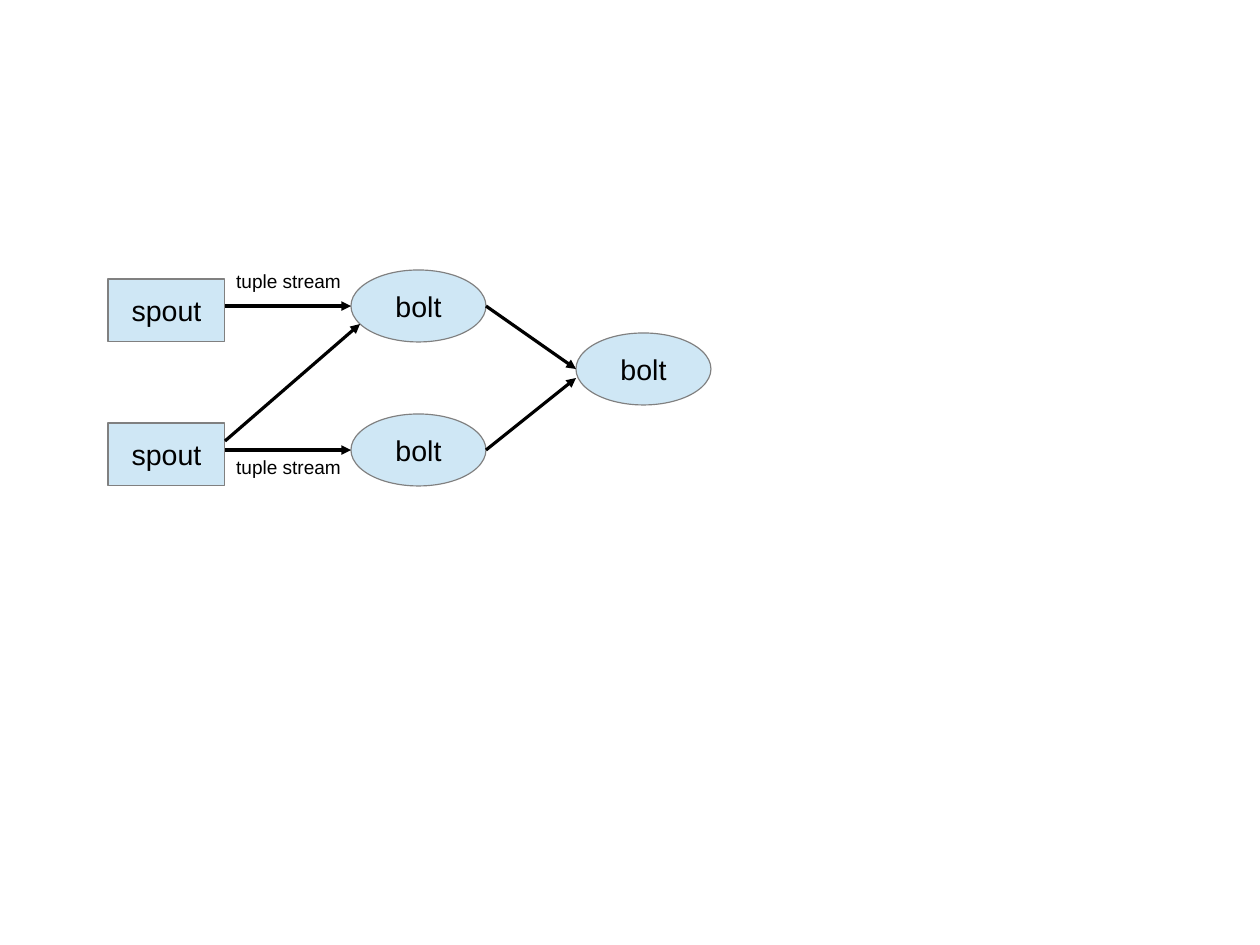
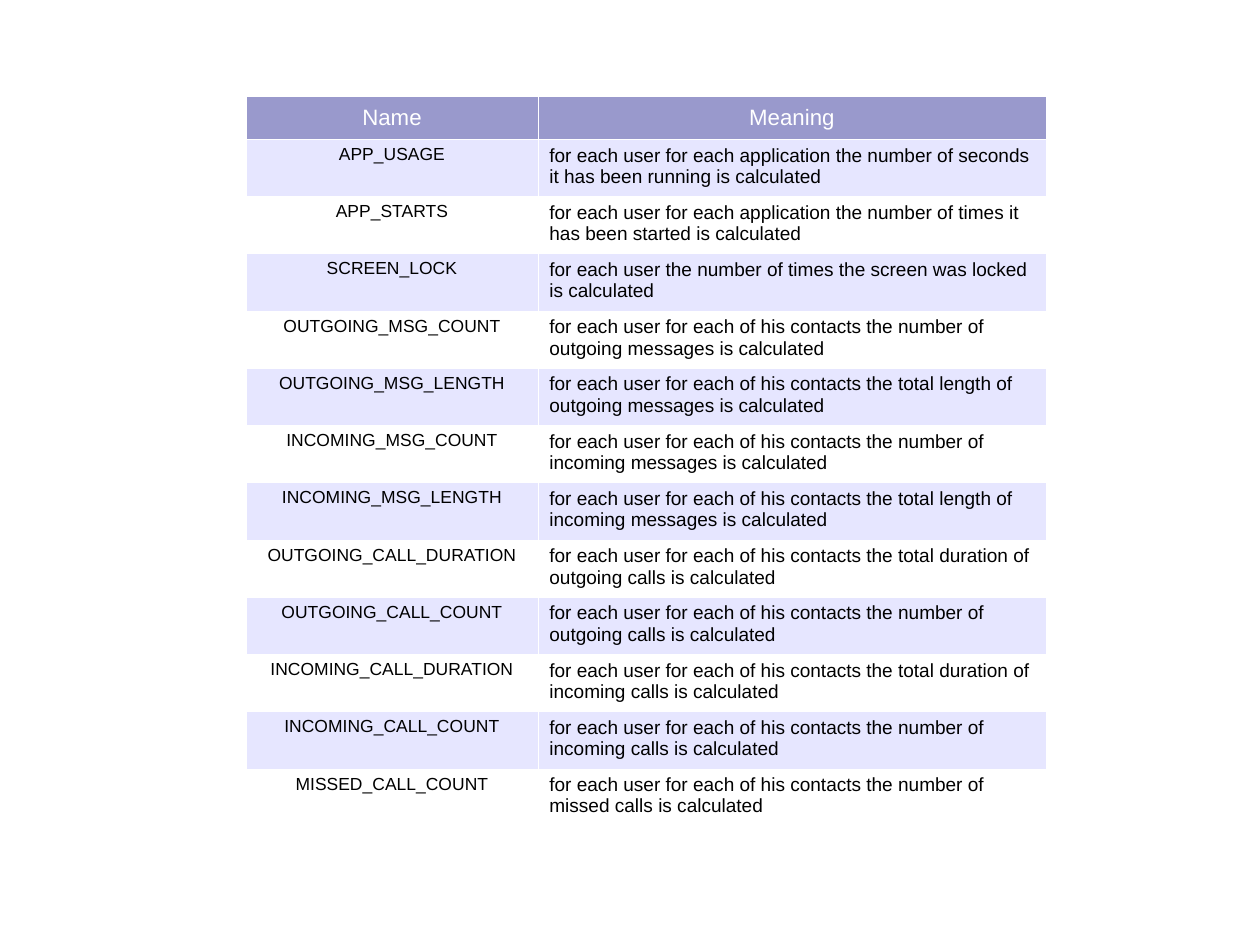
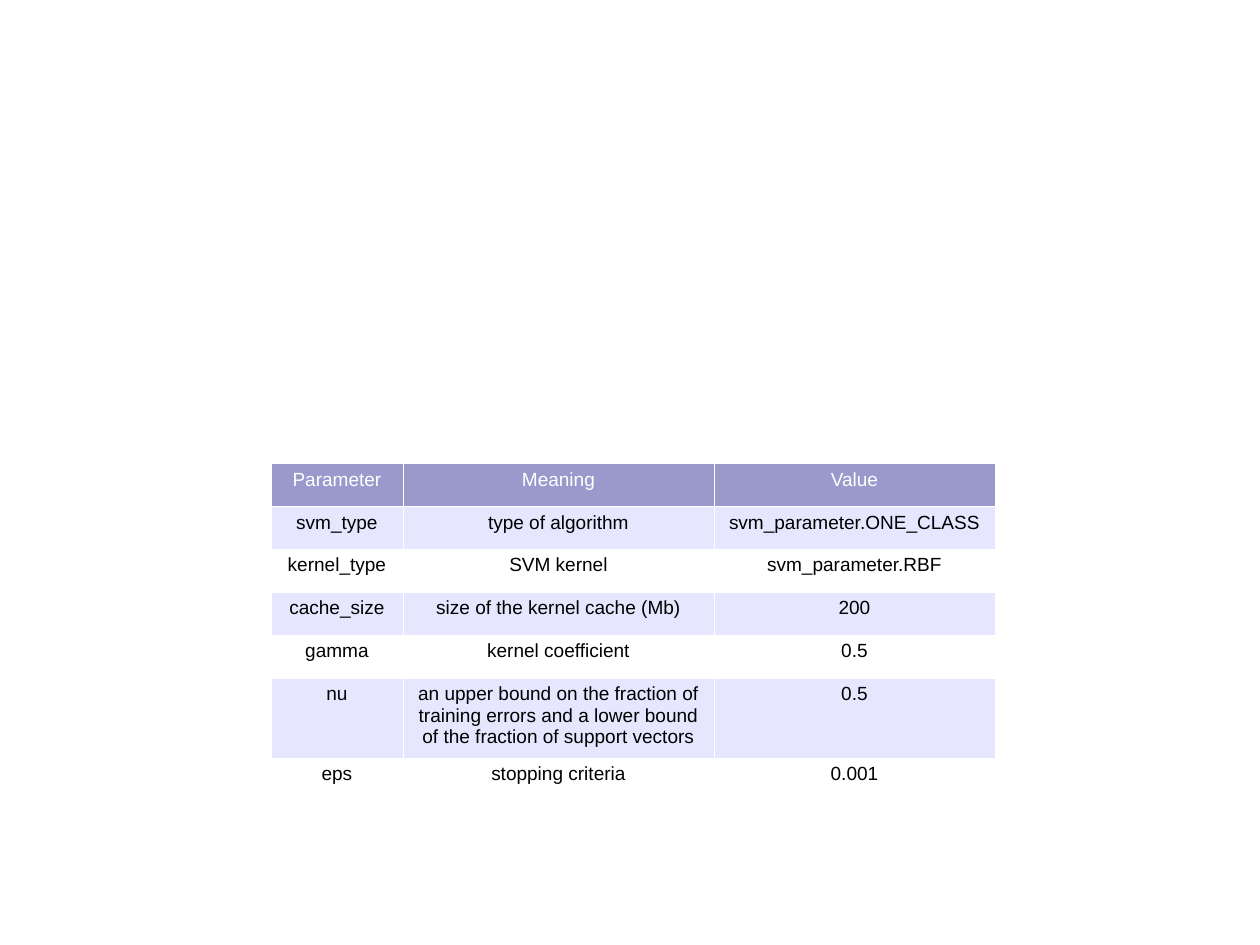
from lxml.etree import SubElement
from pptx import Presentation
from pptx.dml.color import RGBColor
from pptx.enum.shapes import MSO_CONNECTOR, MSO_SHAPE
from pptx.enum.text import MSO_ANCHOR, MSO_AUTO_SIZE, PP_ALIGN
from pptx.oxml.ns import qn
from pptx.util import Emu, Pt

FONT = "Arial"
BLACK = RGBColor(0x00, 0x00, 0x00)
WHITE = RGBColor(0xFF, 0xFF, 0xFF)
NODE_FILL = RGBColor(0xCF, 0xE7, 0xF5)
NODE_LINE = RGBColor(0x80, 0x80, 0x80)
HEADER_FILL = RGBColor(0x99, 0x99, 0xCC)
BAND_FILL = RGBColor(0xE6, 0xE6, 0xFF)

HAIRLINE = Emu(0)
BORDER_WIDTH = 720

METRICS = [
    ("Name", "Meaning"),
    ("APP_USAGE", "for each user for each application the number of seconds it has been running is calculated"),
    ("APP_STARTS", "for each user for each application the number of times it has been started is calculated"),
    ("SCREEN_LOCK", "for each user the number of times the screen was locked is calculated"),
    ("OUTGOING_MSG_COUNT", "for each user for each of his contacts the number of outgoing messages is calculated"),
    ("OUTGOING_MSG_LENGTH", "for each user for each of his contacts the total length of outgoing messages is calculated"),
    ("INCOMING_MSG_COUNT", "for each user for each of his contacts the number of incoming messages is calculated"),
    ("INCOMING_MSG_LENGTH", "for each user for each of his contacts the total length of incoming messages is calculated"),
    ("OUTGOING_CALL_DURATION", "for each user for each of his contacts the total duration of outgoing calls is calculated"),
    ("OUTGOING_CALL_COUNT", "for each user for each of his contacts the number of outgoing calls is calculated"),
    ("INCOMING_CALL_DURATION", "for each user for each of his contacts the total duration of incoming calls is calculated"),
    ("INCOMING_CALL_COUNT", "for each user for each of his contacts the number of incoming calls is calculated"),
    ("MISSED_CALL_COUNT", "for each user for each of his contacts the number of missed calls is calculated"),
]

SVM_PARAMETERS = [
    ("Parameter", "Meaning", "Value"),
    ("svm_type", "type of algorithm", "svm_parameter.ONE_CLASS"),
    ("kernel_type", "SVM kernel", "svm_parameter.RBF"),
    ("cache_size", "size of the kernel cache (Mb)", "200"),
    ("gamma", "kernel coefficient", "0.5"),
    ("nu", "an upper bound on the fraction of training errors and a lower bound of the fraction of support vectors", "0.5"),
    ("eps", "stopping criteria", "0.001"),
]


def px(length):
    return Emu(length * 8000)


def write(frame, text, size, color=BLACK, align=PP_ALIGN.LEFT):
    paragraph = frame.paragraphs[0]
    paragraph.text = text
    paragraph.alignment = align
    paragraph.font.name = FONT
    paragraph.font.size = Pt(size)
    paragraph.font.color.rgb = color


def add_node(slide, kind, text, left, top, width, height):
    node = slide.shapes.add_shape(kind, px(left), px(top), px(width), px(height))
    node.shadow.inherit = False
    node.fill.solid()
    node.fill.fore_color.rgb = NODE_FILL
    node.line.color.rgb = NODE_LINE
    node.line.width = HAIRLINE
    node.text_frame.vertical_anchor = MSO_ANCHOR.MIDDLE
    write(node.text_frame, text, 18, align=PP_ALIGN.CENTER)


def add_arrow(slide, x1, y1, x2, y2):
    arrow = slide.shapes.add_connector(MSO_CONNECTOR.STRAIGHT, px(x1), px(y1), px(x2), px(y2))
    arrow.line.color.rgb = BLACK
    arrow.line.width = HAIRLINE
    SubElement(arrow.line._get_or_add_ln(), qn("a:tailEnd"), type="triangle")
    SubElement(arrow._element.spPr, qn("a:effectLst"))


def add_stream_label(slide, left, top):
    label = slide.shapes.add_textbox(px(left), px(top), px(135), px(33))
    label.text_frame.word_wrap = True
    label.text_frame.auto_size = MSO_AUTO_SIZE.SHAPE_TO_FIT_TEXT
    write(label.text_frame, "tuple stream", 12)


def add_topology(slide, left, top):
    lane = 144
    for y in (9, 9 + lane):
        add_node(slide, MSO_SHAPE.RECTANGLE, "spout", left, top + y, 117, 63)
    for x, y in ((243, 0), (243, lane), (468, 63)):
        add_node(slide, MSO_SHAPE.OVAL, "bolt", left + x, top + y, 135, 72)
    for x1, y1, x2, y2 in (
        (117, 36, 243, 36),
        (117, 36 + lane, 243, 36 + lane),
        (117, 27 + lane, 252, 54),
        (378, 36, 468, 99),
        (378, 36 + lane, 468, 108),
    ):
        add_arrow(slide, left + x1, top + y1, left + x2, top + y2)
    for y in (-6, 36 + lane):
        add_stream_label(slide, left + 117, top + y)


def add_borders(cell):
    properties = cell._tc.get_or_add_tcPr()
    for side in ("a:lnL", "a:lnR", "a:lnT", "a:lnB"):
        border = SubElement(properties, qn(side), w=str(BORDER_WIDTH))
        fill = SubElement(border, qn("a:solidFill"))
        SubElement(fill, qn("a:srgbClr"), val=str(WHITE))


def add_banded_table(slide, left, top, widths, heights, rows, header_size, header_anchor, columns):
    frame = slide.shapes.add_table(
        len(rows), len(widths), px(left), px(top), px(sum(widths)), sum(heights)
    )
    table = frame.table
    table.first_row = table.horz_banding = False
    for column, width in zip(table.columns, widths):
        column.width = px(width)
    for r, (texts, height) in enumerate(zip(rows, heights)):
        table.rows[r].height = height
        for c, (text, (size, align)) in enumerate(zip(texts, columns)):
            cell = table.cell(r, c)
            add_borders(cell)
            cell.fill.solid()
            if r == 0:
                cell.fill.fore_color.rgb = HEADER_FILL
                cell.vertical_anchor = header_anchor
                write(cell.text_frame, text, header_size, WHITE, PP_ALIGN.CENTER)
            else:
                cell.fill.fore_color.rgb = BAND_FILL if r % 2 else WHITE
                write(cell.text_frame, text, size, align=align)


def add_metrics(slide, left, top):
    metric_count = len(METRICS) - 1
    heights = [px(43)] + [px(687) // metric_count] * metric_count
    columns = [(11, PP_ALIGN.CENTER), (12, PP_ALIGN.LEFT)]
    add_banded_table(slide, left, top, (292, 508), heights, METRICS, 14, MSO_ANCHOR.MIDDLE, columns)


def add_svm_parameters(slide, left, top):
    heights = [px(80 if name == "nu" else 43) for name, _, _ in SVM_PARAMETERS]
    columns = [(12, PP_ALIGN.CENTER)] * 3
    add_banded_table(
        slide, left, top, (132, 311, 281), heights, SVM_PARAMETERS, 12, MSO_ANCHOR.TOP, columns
    )


def main():
    deck = Presentation()
    deck.slide_width, deck.slide_height = px(1260), px(945)
    blank = deck.slide_layouts[6]
    for add_content, left, top in (
        (add_topology, 108, 270),
        (add_metrics, 246, 96),
        (add_svm_parameters, 271, 463),
    ):
        add_content(deck.slides.add_slide(blank), left, top)
    deck.save("out.pptx")


if __name__ == "__main__":
    main()
